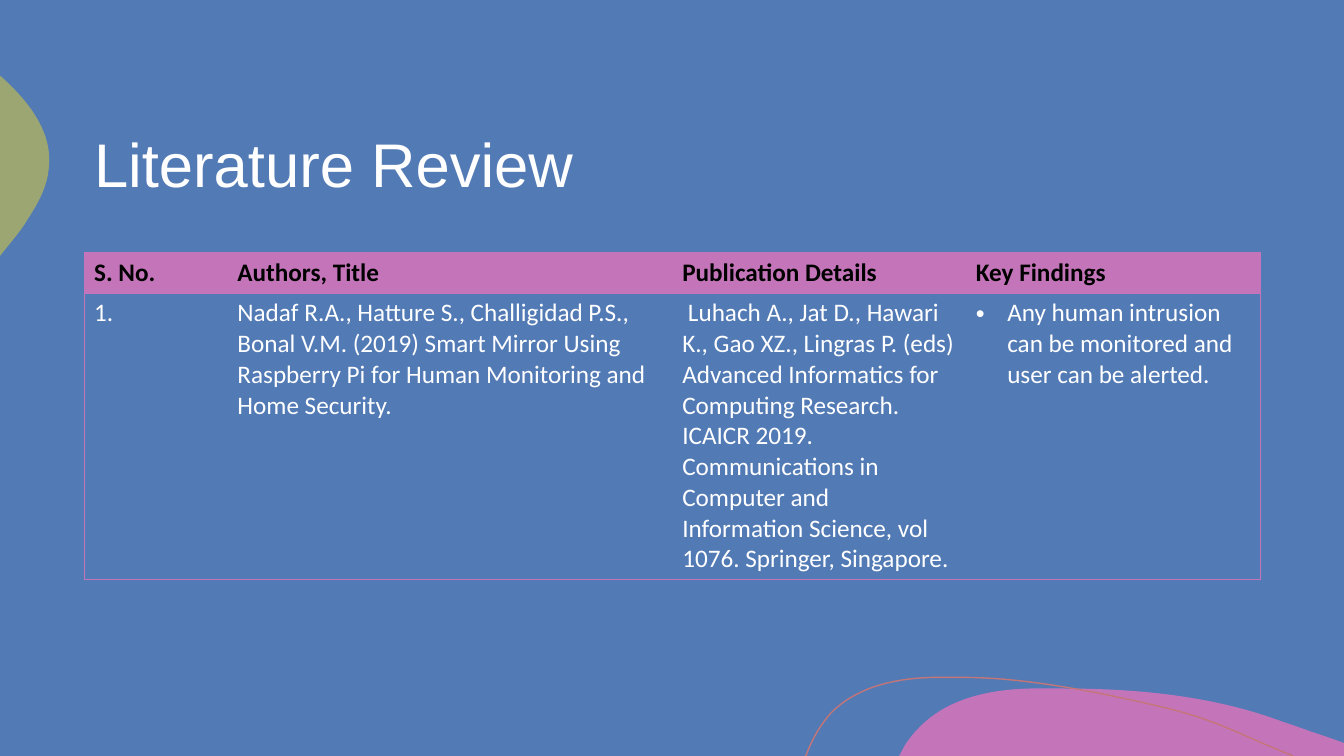
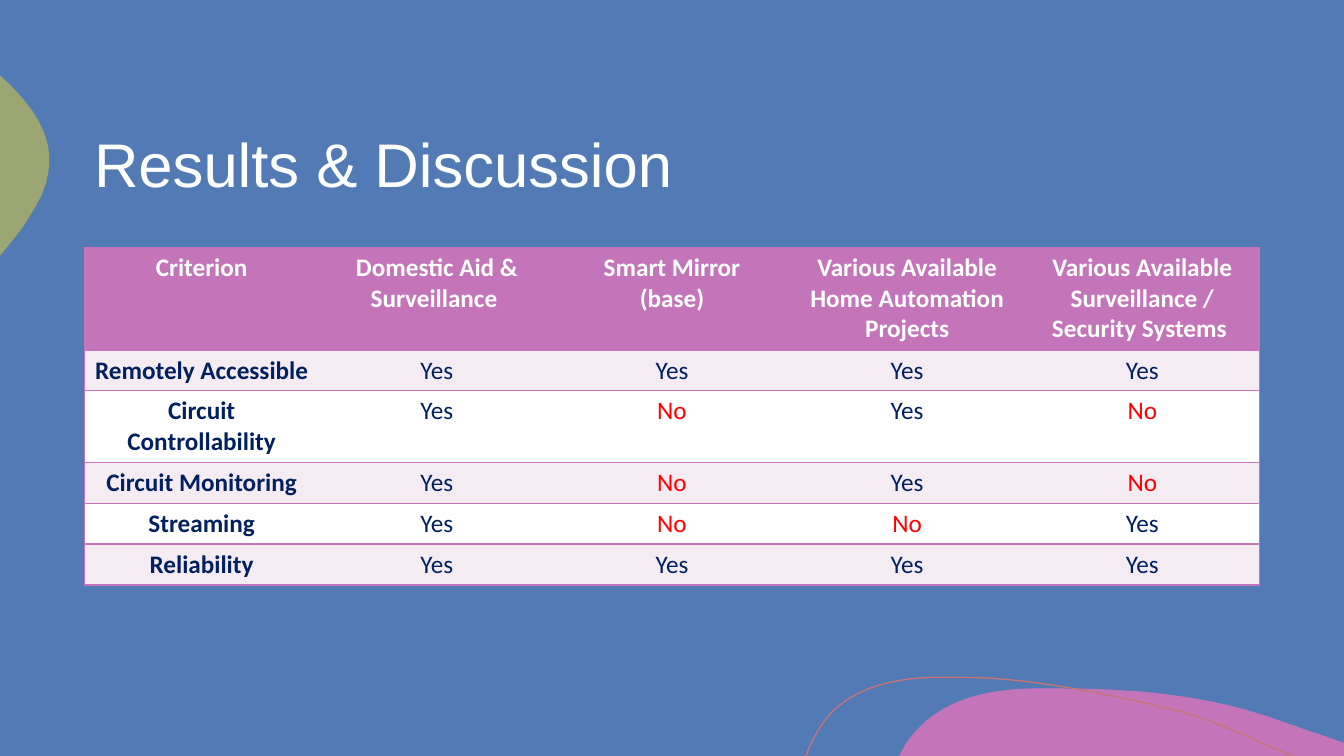
"""Build two table slides that share a background, title style and curved decorations."""
from dataclasses import dataclass

import lxml.etree
import pptx
import pptx.dml.color
import pptx.enum.text
import pptx.oxml.ns
import pptx.presentation
import pptx.slide
import pptx.table
import pptx.text.text
import pptx.util

Cm, Pt = pptx.util.Cm, pptx.util.Pt
PP_ALIGN = pptx.enum.text.PP_ALIGN
qn = pptx.oxml.ns.qn
Point = tuple[float, float]

COLORS = {
    "background": "527AB5",
    "pink": "C475BA",
    "green": "9BA672",
    "coral": "C47578",
    "band": "F5ECF3",
    "white": "FFFFFF",
    "black": "000000",
    "navy": "002060",
    "red": "FF0000",
}
LEFT, WIDTH = 2.12, 29.63


@dataclass(frozen=True)
class Outline:
    """Points in cm; a segment has one point for a line or three for a curve."""
    start: Point
    segments: list[tuple[Point, ...]]
    fill: str | None = None
    line: str | None = None


@dataclass(frozen=True)
class TableSpec:
    """Content and style of one table; lengths are in cm."""
    title: str
    top: float
    widths: list[float]
    heights: list[float]
    rows: list[list[str]]
    header_color: str
    text_color: str
    bands: tuple[str, ...] = ()
    border: float = 1
    align: PP_ALIGN = PP_ALIGN.LEFT
    bold_first_column: bool = False
    bullet_column: int | None = None


OUTLINES = [
    Outline((26.77, 17.35), [
        ((28.65, 17.35), (30.58, 17.53), (32.33, 18.19)),
        ((32.66, 18.29), (32.97, 18.42), (33.3, 18.52)),
        ((33.87, 18.72),),
        ((33.87, 19.05),),
        ((22.66, 19.05),),
        ((22.81, 18.77),),
        ((22.91, 18.62), (23.01, 18.49), (23.14, 18.36)),
        ((23.85, 17.6), (24.94, 17.37), (25.98, 17.35)),
        ((26.24, 17.35), (26.5, 17.35), (26.77, 17.35)),
    ], fill="pink"),
    Outline((0, 1.91), [
        ((0.03, 1.93),),
        ((0.76, 2.59), (1.37, 3.38), (1.22, 4.32)),
        ((1.17, 4.75), (0.94, 5.16), (0.69, 5.54)),
        ((0.61, 5.69), (0.43, 5.92), (0.2, 6.2)),
        ((0, 6.45),),
    ], fill="green"),
    Outline((20.29, 19.05), [
        ((20.32, 19.02),),
        ((20.47, 18.62), (20.68, 18.26), (20.93, 17.98)),
        ((21.59, 17.3), (22.58, 17.09), (23.52, 17.07)),
        ((24.26, 17.07),),
        ((25.96, 17.07), (27.94, 17.5), (29.34, 17.83)),
        ((30.71, 18.16), (31.14, 18.47), (32.59, 19.05)),
    ], line="coral"),
]

TABLES = [
    TableSpec(
        title="Literature Review",
        top=6.35,
        widths=[3.61, 11.21, 7.4, 7.42],
        heights=[1.03, 7.21],
        rows=[
            ["S. No.", "Authors, Title", "Publication Details", "Key Findings"],
            [
                "1.",
                "Nadaf R.A., Hatture S., Challigidad P.S., Bonal V.M. (2019) Smart Mirror "
                "Using Raspberry Pi for Human Monitoring and Home Security.",
                " Luhach A., Jat D., Hawari K., Gao XZ., Lingras P. (eds) Advanced Informatics "
                "for Computing Research. ICAICR 2019. Communications in Computer and "
                "Information Science, vol 1076. Springer, Singapore.",
                "Any human intrusion can be monitored and user can be alerted.",
            ],
        ],
        header_color="black",
        text_color="white",
        border=0.5,
        bullet_column=3,
    ),
    TableSpec(
        title="Results & Discussion",
        top=6.23,
        widths=[WIDTH / 5] * 5,
        heights=[2.59, 1.03, 1.8, 1.03, 1.03, 1.03],
        rows=[
            [
                "Criterion",
                "Domestic Aid & Surveillance ",
                "Smart Mirror\n(base)",
                "Various Available Home Automation Projects",
                "Various Available Surveillance / Security Systems ",
            ],
            ["Remotely Accessible", "Yes", "Yes", "Yes", "Yes"],
            ["Circuit Controllability", "Yes", "No", "Yes", "No"],
            ["Circuit Monitoring", "Yes", "No", "Yes", "No"],
            ["Streaming", "Yes", "No", "No", "Yes"],
            ["Reliability", "Yes", "Yes", "Yes", "Yes"],
        ],
        header_color="white",
        text_color="navy",
        bands=("band", "white"),
        align=PP_ALIGN.CENTER,
        bold_first_column=True,
    ),
]


def rgb(name: str) -> pptx.dml.color.RGBColor:
    return pptx.dml.color.RGBColor.from_string(COLORS[name])


def set_font(p: pptx.text.text._Paragraph, name: str, size: float, color: str, bold: bool = False) -> None:
    p.font.name = name
    p.font.size = Pt(size)
    p.font.bold = bold
    p.font.color.rgb = rgb(color)


def add_outline(s: pptx.slide.Slide, outline: Outline) -> None:
    ends = [(Cm(x), Cm(y)) for x, y in (segment[-1] for segment in outline.segments)]
    builder = s.shapes.build_freeform(*(Cm(v) for v in outline.start))
    builder.add_line_segments(ends, close=outline.fill is not None)
    sp = builder.convert_to_shape()
    sp.shadow.inherit = False
    lines = list(sp._element.iter(qn("a:lnTo")))
    for line, segment in zip(lines, outline.segments):
        if len(segment) == 3:
            curve = lxml.etree.Element(qn("a:cubicBezTo"))
            for x, y in segment:
                lxml.etree.SubElement(curve, qn("a:pt"), x=str(Cm(x) - sp.left), y=str(Cm(y) - sp.top))
            line.getparent().replace(line, curve)
    if outline.fill:
        sp.fill.solid()
        sp.fill.fore_color.rgb = rgb(outline.fill)
    else:
        sp.fill.background()
    if outline.line:
        sp.line.color.rgb = rgb(outline.line)
        sp.line.width = Pt(1)
    else:
        sp.line.fill.background()


def add_title(s: pptx.slide.Slide, text: str) -> None:
    tf = s.shapes.add_textbox(Cm(LEFT), Cm(2.12), Cm(WIDTH), Cm(4.23)).text_frame
    tf.word_wrap = True
    tf.vertical_anchor = pptx.enum.text.MSO_ANCHOR.MIDDLE
    tf.text = text
    p = tf.paragraphs[0]
    p.line_spacing = 0.9
    set_font(p, "Arial", 44, "white")


def set_borders(cell: pptx.table._Cell, width: float, visible: str) -> None:
    tc_pr = cell._tc.get_or_add_tcPr()
    for side in "LRTB":
        ln = lxml.etree.SubElement(tc_pr, qn(f"a:ln{side}"), w=str(Pt(width)))
        if side in visible:
            fill = lxml.etree.SubElement(ln, qn("a:solidFill"))
            lxml.etree.SubElement(fill, qn("a:srgbClr"), val=COLORS["pink"])
        else:
            lxml.etree.SubElement(ln, qn("a:noFill"))


def set_bullet(p: pptx.text.text._Paragraph) -> None:
    p_pr = p._p.get_or_add_pPr()
    p_pr.set("marL", str(Cm(0.79)))
    p_pr.set("indent", str(-Cm(0.79)))
    lxml.etree.SubElement(p_pr, qn("a:buFont"), typeface="Arial")
    lxml.etree.SubElement(p_pr, qn("a:buChar"), char="•")


def fill_cell(cell: pptx.table._Cell, spec: TableSpec, row: int, col: int) -> None:
    text = spec.rows[row][col]
    header = row == 0
    last = len(spec.widths) - 1
    set_borders(cell, spec.border, "TB" + "L" * (col == 0) + "R" * (col == last))
    if header or spec.bands:
        cell.fill.solid()
        cell.fill.fore_color.rgb = rgb("pink" if header else spec.bands[(row - 1) % len(spec.bands)])
    else:
        cell.fill.background()
    color = spec.header_color if header else "red" if text == "No" else spec.text_color
    cell.text_frame.text = text
    for p in cell.text_frame.paragraphs:
        p.alignment = spec.align
        if not header and col == spec.bullet_column:
            set_bullet(p)
        set_font(p, "Calibri", 18, color, header or (spec.bold_first_column and col == 0))


def add_table(s: pptx.slide.Slide, spec: TableSpec) -> None:
    table = s.shapes.add_table(
        len(spec.rows), len(spec.widths), Cm(LEFT), Cm(spec.top), Cm(WIDTH), Cm(sum(spec.heights))
    ).table
    table.first_row = False
    table.horz_banding = False
    for column, width in zip(table.columns, spec.widths):
        column.width = Cm(width)
    for row, height in enumerate(spec.heights):
        table.rows[row].height = Cm(height)
        for col in range(len(spec.widths)):
            fill_cell(table.cell(row, col), spec, row, col)


def add_slide(prs: pptx.presentation.Presentation, spec: TableSpec) -> None:
    s = prs.slides.add_slide(prs.slide_layouts[6])
    for outline in OUTLINES:
        add_outline(s, outline)
    add_title(s, spec.title)
    add_table(s, spec)


def main() -> None:
    prs = pptx.Presentation()
    prs.slide_width, prs.slide_height = Cm(33.87), Cm(19.05)
    background = prs.slide_master.background.fill
    background.solid()
    background.fore_color.rgb = rgb("background")
    for spec in TABLES:
        add_slide(prs, spec)
    prs.save("out.pptx")


if __name__ == "__main__":
    main()
